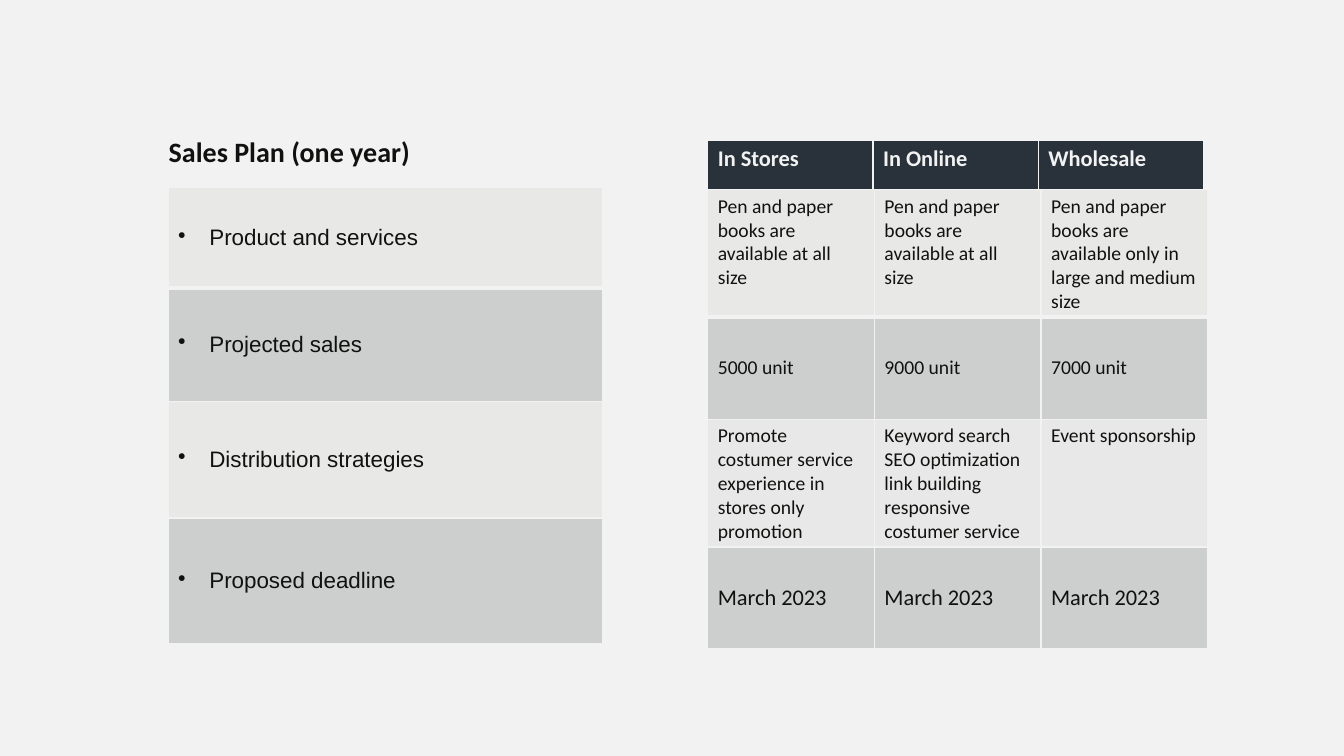
import pptx
import pptx.dml.color
import pptx.enum.text
import pptx.oxml
import pptx.oxml.ns
import pptx.util

RGBColor = pptx.dml.color.RGBColor
Pt = pptx.util.Pt
PP_ALIGN = pptx.enum.text.PP_ALIGN
ANCHOR = pptx.enum.text.MSO_ANCHOR

PAPER = RGBColor(0xF2, 0xF2, 0xF2)
INK = RGBColor(0x11, 0x11, 0x10)
NAVY = RGBColor(0x29, 0x32, 0x3B)
LIGHT = RGBColor(0xE8, 0xE8, 0xE6)
PALE = RGBColor(0xE8, 0xE8, 0xE8)
GREY = RGBColor(0xCD, 0xCE, 0xCE)

prs = pptx.Presentation()
prs.slide_width = pptx.util.Inches(13.33)
prs.slide_height = pptx.util.Inches(7.5)
COL = prs.slide_width / 100
ROW = prs.slide_height / 100

s = prs.slides.add_slide(prs.slide_layouts[6])
s.background.fill.solid()
s.background.fill.fore_color.rgb = PAPER


def set_font(p, size, name, color, bold=False):
    p.font.size = Pt(size)
    p.font.name = name
    p.font.color.rgb = color
    p.font.bold = bold


def add_grid(x, y, col_width, row_heights, texts, fills):
    n_rows, n_cols = len(texts), len(texts[0])
    table = s.shapes.add_table(
        n_rows, n_cols, int(x * COL), int(y * ROW),
        int(n_cols * col_width * COL), int(sum(row_heights) * ROW)).table
    table.first_row = False
    table.horz_banding = False
    for i, height in enumerate(row_heights):
        table.rows[i].height = int(height * ROW)
        for j, text in enumerate(texts[i]):
            cell = table.cell(i, j)
            cell.text = text
            tcPr = cell._tc.get_or_add_tcPr()
            for side in "LRTB":
                width = Pt(3 if i == 0 and side == "B" else 1)
                tcPr.append(pptx.oxml.parse_xml(
                    f'<a:ln{side} {pptx.oxml.ns.nsdecls("a")} w="{width}">'
                    f'<a:solidFill><a:srgbClr val="{PAPER}"/></a:solidFill>'
                    f'</a:ln{side}>'))
            cell.fill.solid()
            cell.fill.fore_color.rgb = fills[i]
    return table


sp = s.shapes.add_textbox(int(11.82 * COL), int(17.2 * ROW),
                          int(24.75 * COL), int(5.87 * ROW))
tf = sp.text_frame
tf.word_wrap = True
p = tf.paragraphs[0]
p.text = "Sales Plan (one year)"
set_font(p, 20, "Calibri", INK, True)

topics = ["Product and services", "Projected sales",
          "Distribution strategies", "Proposed deadline"]
plan = add_grid(12.5, 24.8, 32.33, [13.33, 14.93, 15.47, 16.67],
                [[topic] for topic in topics], [LIGHT, GREY, LIGHT, GREY])
for cell in plan.iter_cells():
    cell.vertical_anchor = ANCHOR.MIDDLE
    p = cell.text_frame.paragraphs[0]
    p.alignment = PP_ALIGN.JUSTIFY
    set_font(p, 16, "Arial", INK)
    pPr = p._p.get_or_add_pPr()
    indent = int(2.33 * COL)
    pPr.set("marL", str(indent))
    pPr.set("indent", str(-indent))
    pPr.insert(0, pptx.oxml.parse_xml(
        f'<a:buChar {pptx.oxml.ns.nsdecls("a")} char="•"/>'))

header = add_grid(52.66, 18.53, 12.3, [6.93],
                  [["In Stores", "In Online", "Wholesale"]], [NAVY])
for cell in header.iter_cells():
    set_font(cell.text_frame.paragraphs[0], 16, "Calibri", PAPER, True)

channels = [
    ["Pen and paper books are available at all size",
     "Pen and paper books are available at all size",
     "Pen and paper books are available only in large and medium size"],
    ["5000 unit", "9000 unit", "7000 unit"],
    ["Promote costumer service experience in stores only promotion",
     "Keyword search SEO optimization link building responsive costumer service",
     "Event sponsorship"],
    ["March 2023"] * 3,
]
details = add_grid(52.66, 25.07, 12.4, [16.8, 13.47] * 2,
                   channels, [LIGHT, GREY, PALE, GREY])
for i, row in enumerate(details.rows):
    for cell in row.cells:
        cell.vertical_anchor = ANCHOR.MIDDLE if i % 2 else ANCHOR.TOP
        set_font(cell.text_frame.paragraphs[0], 16 if i == 3 else 14, "Calibri", INK)

prs.save("out.pptx")
